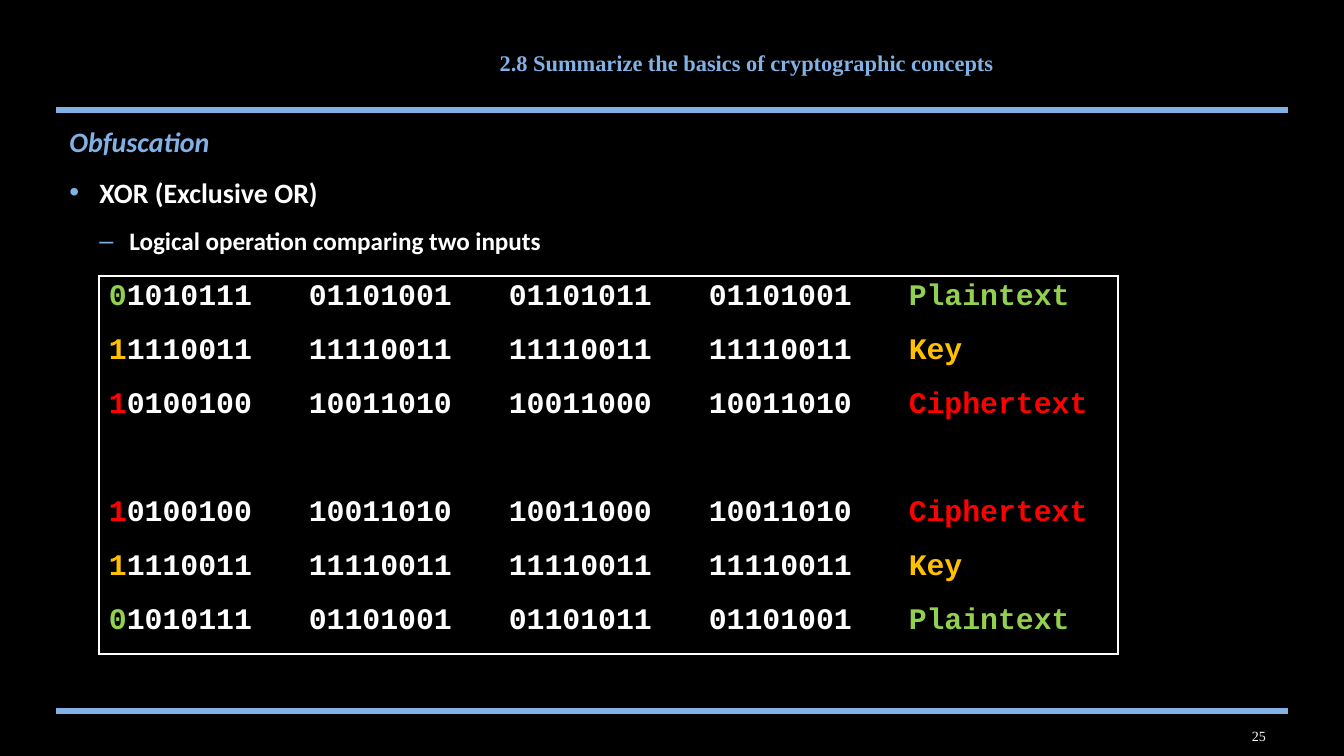
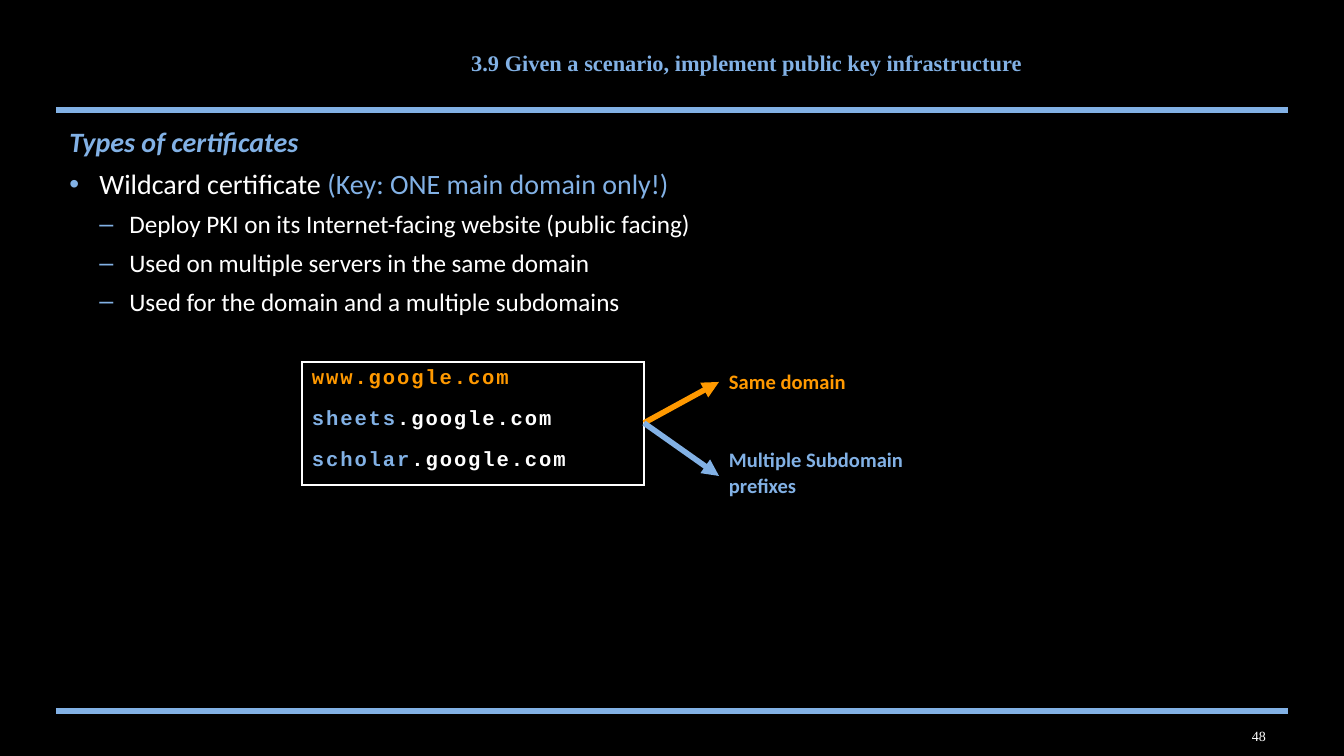
from dataclasses import dataclass

from lxml import etree
from pptx import Presentation
from pptx.dml.color import RGBColor
from pptx.enum.shapes import MSO_CONNECTOR
from pptx.enum.text import MSO_ANCHOR, MSO_AUTO_SIZE, PP_ALIGN
from pptx.oxml.ns import qn
from pptx.util import Pt

STRAIGHT = MSO_CONNECTOR.STRAIGHT
TOP, MIDDLE = MSO_ANCHOR.TOP, MSO_ANCHOR.MIDDLE
NO_AUTOFIT = MSO_AUTO_SIZE.NONE
CENTER = PP_ALIGN.CENTER

SLIDE_WIDTH, SLIDE_HEIGHT = 1344, 756
EMU_PER_PX = 9144000 / SLIDE_WIDTH

BLACK, WHITE, BLUE = "000000", "FFFFFF", "82B1E5"
GREEN, GOLD, RED, ORANGE = "92D050", "FFC000", "FF0000", "FF9900"
SERIF, SANS, MONO = "Times New Roman", "Calibri", "Courier New"

BAND_LEFT, BAND_RIGHT = 56, 1288
BAND_TOPS = (110, 711)
LEVEL_INDENT = 30
BULLETS = {1: "•", 2: "–"}
LEVEL_SIZES = {0: 15, 1: 15, 2: 13.5}


@dataclass(frozen=True)
class Box:
    left: int
    top: int
    width: int
    height: int


@dataclass(frozen=True)
class Span:
    text: str
    color: str = WHITE


@dataclass(frozen=True)
class TextStyle:
    font: str
    size: float
    bold: bool = True
    italic: bool = False
    spacing: int = 0


@dataclass(frozen=True)
class Bullet:
    level: int
    spans: tuple[Span, ...]


@dataclass(frozen=True)
class CipherLine:
    label: str
    color: str
    octets: tuple[str, ...]


@dataclass(frozen=True)
class GridStyle:
    text: TextStyle
    anchor: MSO_ANCHOR = TOP
    outlined: bool = True


TITLE_BOX = Box(204, 8, 1086, 109)
BODY_BOX = Box(56, 118, 1232, 589)
NUMBER_BOX = Box(1175, 719, 168, 34)
TITLE_STYLE = TextStyle(SERIF, 12)
NUMBER_STYLE = TextStyle(SERIF, 7.5, bold=False)
BINARY_GRID = GridStyle(TextStyle(MONO, 16))
ADDRESS_GRID = GridStyle(TextStyle(MONO, 11, spacing=100))
LABEL_GRID = GridStyle(TextStyle(SANS, 11), MIDDLE, False)

PLAINTEXT = CipherLine("Plaintext", GREEN, ("01010111", "01101001", "01101011", "01101001"))
KEY = CipherLine("Key", GOLD, ("11110011",) * 4)
CIPHERTEXT = CipherLine("Ciphertext", RED, ("10100100", "10011010", "10011000", "10011010"))


def px(length: int) -> int:
    return round(length * EMU_PER_PX)


def rgb(color: str) -> RGBColor:
    return RGBColor.from_string(color)


def place(shape, box: Box) -> None:
    shape.left, shape.top = px(box.left), px(box.top)
    shape.width, shape.height = px(box.width), px(box.height)


def write(paragraph, spans: tuple[Span, ...], style: TextStyle) -> None:
    font = paragraph.font
    font.name, font.size = style.font, Pt(style.size)
    font.bold, font.italic = style.bold, style.italic
    for span in spans:
        run = paragraph.add_run()
        run.text = span.text
        run.font.color.rgb = rgb(span.color)
        if style.spacing:
            run._r.get_or_add_rPr().set("spc", str(style.spacing))


def write_centered(shape, span: Span, style: TextStyle) -> None:
    frame = shape.text_frame
    frame.word_wrap = True
    frame.auto_size = NO_AUTOFIT
    frame.vertical_anchor = MIDDLE
    paragraph = frame.paragraphs[0]
    paragraph.alignment = CENTER
    write(paragraph, (span,), style)


def add_solid_fill(parent, color: str) -> None:
    fill = etree.SubElement(parent, qn("a:solidFill"))
    etree.SubElement(fill, qn("a:srgbClr"), val=color)


def set_bullet(paragraph, level: int) -> None:
    properties = paragraph._p.get_or_add_pPr()
    properties.set("marL", str(px(level * LEVEL_INDENT)))
    properties.set("indent", str(-px(LEVEL_INDENT) if level else 0))
    if level == 0:
        etree.SubElement(properties, qn("a:buNone"))
        return
    paragraph.level = level
    bullet_color = etree.SubElement(properties, qn("a:buClr"))
    etree.SubElement(bullet_color, qn("a:srgbClr"), val=BLUE)
    etree.SubElement(properties, qn("a:buChar"), char=BULLETS[level])


def fill_body(body, heading: str, bullets: tuple[Bullet, ...], gap: float, bold: bool) -> None:
    place(body, BODY_BOX)
    frame = body.text_frame
    frame.auto_size = NO_AUTOFIT
    for index, bullet in enumerate((Bullet(0, (Span(heading, BLUE),)), *bullets)):
        paragraph = frame.add_paragraph() if index else frame.paragraphs[0]
        set_bullet(paragraph, bullet.level)
        paragraph.space_before = Pt(gap if index else 0)
        is_heading = bullet.level == 0
        style = TextStyle(SANS, LEVEL_SIZES[bullet.level], bold or is_heading, is_heading)
        write(paragraph, bullet.spans, style)


def add_line(slide, start: tuple[int, int], end: tuple[int, int], color: str, arrow: bool = False) -> None:
    connector = slide.shapes.add_connector(STRAIGHT, *map(px, start + end))
    connector.line.color.rgb = rgb(color)
    connector.line.width = Pt(3)
    if arrow:
        etree.SubElement(connector.line._get_or_add_ln(), qn("a:tailEnd"), type="triangle")
    etree.SubElement(connector._element.spPr, qn("a:effectLst"))


def set_borders(cell, visible: dict[str, bool]) -> None:
    properties = cell._tc.get_or_add_tcPr()
    for side, shown in visible.items():
        line = etree.SubElement(properties, qn(f"a:ln{side}"), w=str(Pt(1)))
        if shown:
            add_solid_fill(line, WHITE)
        else:
            etree.SubElement(line, qn("a:noFill"))


def add_grid(slide, left: int, top: int, widths: tuple[int, ...], row_height: int,
             rows: tuple[tuple[tuple[Span, ...], ...], ...], style: GridStyle) -> None:
    row_count, column_count = len(rows), len(widths)
    table = slide.shapes.add_table(row_count, column_count, px(left), px(top),
                                   px(sum(widths)), px(row_height * row_count)).table
    table.first_row = table.horz_banding = False
    for column, width in zip(table.columns, widths):
        column.width = px(width)
    for row_index, row in enumerate(rows):
        table.rows[row_index].height = px(row_height)
        if not row:
            table.cell(row_index, 0).merge(table.cell(row_index, column_count - 1))
        for column_index in range(column_count):
            cell = table.cell(row_index, column_index)
            edges = {
                "L": column_index == 0,
                "R": column_index + cell.span_width >= column_count,
                "T": row_index == 0,
                "B": row_index == row_count - 1,
            }
            set_borders(cell, {side: style.outlined and edge for side, edge in edges.items()})
            cell.fill.solid()
            cell.fill.fore_color.rgb = rgb(BLACK)
            cell.margin_left = cell.margin_right = px(10)
            cell.margin_top = cell.margin_bottom = px(5)
            cell.vertical_anchor = style.anchor
            if row:
                write(cell.text_frame.paragraphs[0], row[column_index], style.text)


def add_base_slide(presentation, title: str, number: int):
    slide = presentation.slides.add_slide(presentation.slide_layouts[1])
    for top in BAND_TOPS:
        add_line(slide, (BAND_LEFT, top), (BAND_RIGHT, top), BLUE)
    place(slide.shapes.title, TITLE_BOX)
    write_centered(slide.shapes.title, Span(title, BLUE), TITLE_STYLE)
    number_box = slide.shapes.add_textbox(0, 0, 0, 0)
    place(number_box, NUMBER_BOX)
    write_centered(number_box, Span(str(number)), NUMBER_STYLE)
    return slide


def cipher_row(line: CipherLine) -> tuple[tuple[Span, ...], ...]:
    first, *others = line.octets
    return (
        (Span(first[0], line.color), Span(first[1:])),
        *((Span(octet),) for octet in others),
        (Span(line.label, line.color),),
    )


def add_obfuscation_slide(presentation) -> None:
    slide = add_base_slide(presentation, "2.8 Summarize the basics of cryptographic concepts", 25)
    bullets = (
        Bullet(1, (Span("XOR (Exclusive OR)"),)),
        Bullet(2, (Span("Logical operation comparing two inputs"),)),
    )
    fill_body(slide.placeholders[1], "Obfuscation", bullets, 9, True)
    encrypt = tuple(cipher_row(line) for line in (PLAINTEXT, KEY, CIPHERTEXT))
    add_grid(slide, 99, 276, (200,) * 4 + (219,), 54, (*encrypt, (), *encrypt[::-1]), BINARY_GRID)


def add_certificates_slide(presentation) -> None:
    slide = add_base_slide(presentation, "3.9 Given a scenario, implement public key infrastructure", 48)
    details = (
        "Deploy PKI on its Internet-facing website (public facing)",
        "Used on multiple servers in the same domain",
        "Used for the domain and a multiple subdomains",
    )
    bullets = (
        Bullet(1, (Span("Wildcard certificate "), Span("(Key: ONE main domain only!)", BLUE))),
        *(Bullet(2, (Span(detail),)) for detail in details),
    )
    fill_body(slide.placeholders[1], "Types of certificates", bullets, 4.5, False)
    domain = ".google.com"
    addresses = (
        ((Span("www" + domain, ORANGE),),),
        *(((Span(prefix, BLUE), Span(domain)),) for prefix in ("sheets", "scholar")),
    )
    add_grid(slide, 302, 362, (342,), 41, addresses, ADDRESS_GRID)
    for text, color, top, height, arrow_end in (
        ("Same domain", ORANGE, 362, 41, 382),
        ("Multiple Subdomain prefixes", BLUE, 434, 79, 476),
    ):
        add_grid(slide, 719, top, (262,), height, (((Span(text, color),),),), LABEL_GRID)
        add_line(slide, (644, 423), (719, arrow_end), color, arrow=True)


def main() -> None:
    presentation = Presentation()
    presentation.slide_width, presentation.slide_height = px(SLIDE_WIDTH), px(SLIDE_HEIGHT)
    background = presentation.slide_master.background.fill
    background.solid()
    background.fore_color.rgb = rgb(BLACK)
    add_obfuscation_slide(presentation)
    add_certificates_slide(presentation)
    presentation.save("out.pptx")


if __name__ == "__main__":
    main()
